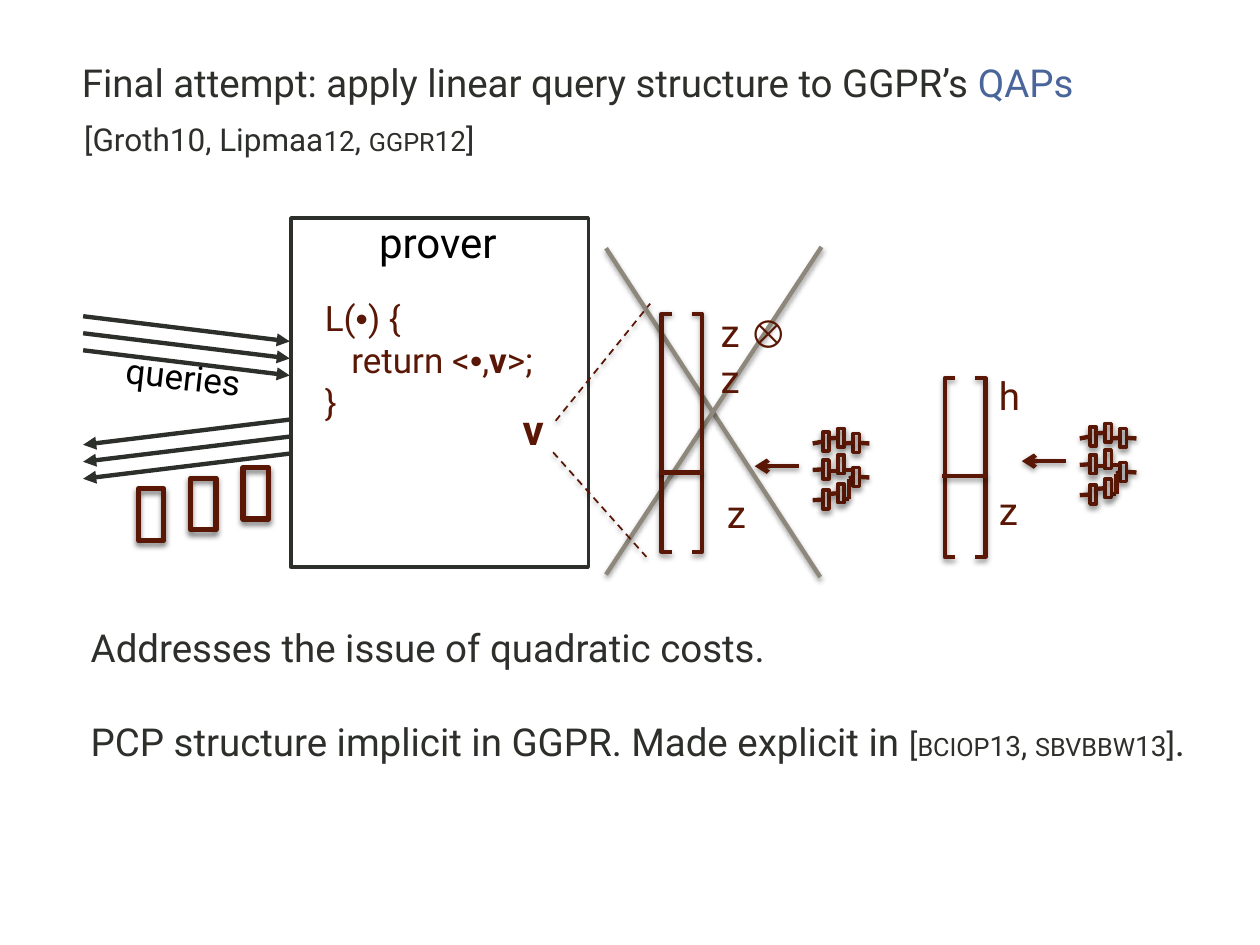
from lxml.etree import SubElement
from pptx import Presentation
from pptx.dml.color import RGBColor
from pptx.enum.dml import MSO_LINE_DASH_STYLE as Dash
from pptx.enum.shapes import MSO_CONNECTOR as Link, MSO_SHAPE as Shape
from pptx.enum.text import MSO_ANCHOR as Anchor, MSO_AUTO_SIZE as Fit, PP_ALIGN as Align
from pptx.oxml.ns import qn
from pptx.util import Inches, Pt

COLORS = {"ink": "2D2F2B", "maroon": "5A1705", "blue": "4A659A", "gray": "8E887C", "black": "000000"}
COLUMNS, ROWS = 100, 75
LEFT, RIGHT = 1, 3
SMALL = {"size": 18, "caps": True}


class Sketch:
    """Draws styled elements on one slide, measured in grid columns and rows."""

    def __init__(self, deck, font="Roboto"):
        self.font = font
        self.slide = deck.slides.add_slide(deck.slide_layouts[1])
        self.canvas = self.slide.shapes
        self.column = deck.slide_width / COLUMNS
        self.row = deck.slide_height / ROWS

    def place(self, *lengths):
        return [round(n * (self.row if i % 2 else self.column)) for i, n in enumerate(lengths)]

    def group(self):
        self.canvas = self.slide.shapes.add_group_shape().shapes

    def ungroup(self):
        self.canvas = self.slide.shapes

    def color(self, name):
        return RGBColor.from_string(COLORS[name])

    def shade(self, effects, opacity, blur, distance):
        shadow = SubElement(effects, qn("a:outerShdw"), blurRad=str(Pt(blur)),
                            dist=str(Pt(distance)), dir="5400000", rotWithShape="0")
        black = SubElement(shadow, qn("a:srgbClr"), val=COLORS["black"])
        SubElement(black, qn("a:alpha"), val=str(opacity * 1000))

    def outline(self, line, color, weight):
        line.color.rgb = self.color(color)
        line.width = Pt(weight)

    def shape(self, kind, box, color="maroon", weight=2.0, shadow=(50, 3, 2)):
        figure = self.canvas.add_shape(kind, *self.place(*box))
        figure.fill.background()
        self.outline(figure.line, color, weight)
        figure.shadow.inherit = False
        if shadow:
            self.shade(figure._element.spPr.find(qn("a:effectLst")), *shadow)
        return figure

    def line(self, start, end, color="maroon", weight=2.5, dash=None, head=None,
             shadow=(38, 3.1, 1.6), origin=None, target=None):
        link = self.canvas.add_connector(Link.STRAIGHT, *self.place(*start, *end))
        if origin:
            link.begin_connect(*origin)
        if target:
            link.end_connect(*target)
        self.outline(link.line, color, weight)
        if dash:
            link.line.dash_style = dash
        if head:
            SubElement(link._element.spPr.find(qn("a:ln")), qn("a:tailEnd"), type=head)
        effects = SubElement(link._element.spPr, qn("a:effectLst"))
        if shadow:
            self.shade(effects, *shadow)

    def set_text(self, holder, paragraphs, size=22, color="ink", align=Align.LEFT, bold=False,
                 gap=0, indents=()):
        frame = holder.text_frame
        frame.word_wrap, frame.auto_size = True, Fit.NONE
        frame.vertical_anchor = Anchor.TOP
        for i, runs in enumerate(paragraphs):
            paragraph = frame.add_paragraph() if i else frame.paragraphs[0]
            paragraph.alignment, paragraph.space_before = align, Pt(gap if i else 0)
            margins = paragraph._p.get_or_add_pPr()
            margins.set("marL", str(Inches(indents[i] if indents else 0)))
            margins.set("indent", "0")
            SubElement(margins, qn("a:buNone"))
            self.style(paragraph.font, size, color, bold)
            for words, change in runs:
                run = paragraph.add_run()
                run.text = words
                self.style(run.font, **{"size": size, "color": color, "bold": bold, **change})

    def style(self, font, size, color, bold, name=None, caps=False):
        font.name, font.size, font.bold = name or self.font, Pt(size), bold
        font.color.rgb = self.color(color)
        if caps:
            font._element.set("cap", "small")

    def text(self, box, *paragraphs, rotation=0, **look):
        label = self.canvas.add_textbox(*self.place(*box))
        label.rotation = rotation
        self.set_text(label, paragraphs, **look)

    def fill_placeholder(self, index, box, *paragraphs, **look):
        holder = self.slide.placeholders[index]
        holder.left, holder.top, holder.width, holder.height = self.place(*box)
        self.set_text(holder, paragraphs, **look)

    def vector(self, x, y, height, divider):
        self.group()
        for kind, offset in ((Shape.LEFT_BRACKET, 0), (Shape.RIGHT_BRACKET, 2.4)):
            bracket = self.shape(kind, (x + offset, y, 0.8, height), weight=2.5, shadow=(38, 3.1, 1.6))
            bracket.adjustments[0] = 0
        self.ungroup()
        self.line((x + 3.3, divider), (x - 0.2, divider))

    def circuit(self, x, y):
        places = {"in1": (0.8, 0.3), "in2": (0.8, 2.5), "in3": (0.8, 4.9), "top": (2, 0),
                  "middle": (2, 2.1), "bottom": (2, 4.4), "out1": (3.2, 0.4), "out2": (3.2, 3.1)}
        wires = [((0, 1.2), (0.8, 1.2), None, ("in1", LEFT)),
                 ((0, 3.3), (0.8, 3.3), None, ("in2", LEFT)),
                 ((0, 5.7), (0.8, 5.7), None, ("in3", LEFT)),
                 ((1.3, 3.4), (2, 3.4), None, None),
                 ((2.5, 1.2), (3.2, 1.2), None, ("out1", LEFT)),
                 ((1.3, 0.8), (2, 0.8), None, ("top", LEFT)),
                 ((1.3, 5.2), (2, 5.2), None, ("bottom", LEFT)),
                 ((2.5, 5.6), (2.9, 5.6), None, None),
                 ((2.9, 4), (3.2, 4), None, ("out2", LEFT)),
                 ((2.9, 4), (2.9, 5.6), None, None),
                 ((2.6, 3.3), (3.2, 3.3), None, None),
                 ((3.7, 1.2), (4.5, 1.2), ("out1", RIGHT), None),
                 ((3.7, 3.9), (4.5, 3.9), ("out2", RIGHT), None)]
        self.group()
        gates = {name: self.shape(Shape.RECTANGLE, (x + dx, y + dy, 0.5, 1.5))
                 for name, (dx, dy) in places.items()}
        for (x1, y1), (x2, y2), *ends in wires:
            origin, target = [end and (gates[end[0]], end[1]) for end in ends]
            self.line((x + x1, y + y1), (x + x2, y + y2), origin=origin, target=target)
        self.ungroup()
        self.line((x - 1.1, y + 3), (x - 4.6, y + 3), head="arrow")


def main():
    deck = Presentation()
    deck.slide_width, deck.slide_height = Inches(10), Inches(7.5)
    page = Sketch(deck)

    page.fill_placeholder(0, (5.5, 4.2, 93.4, 6.9), [
        ("Final attempt: apply linear query structure to GGPR’s ", {}), ("QAPs", {"color": "blue"})])
    page.fill_placeholder(
        1, (6.2, 49, 91.2, 14.7),
        [("Addresses the issue of quadratic costs.", {})],
        [("PCP structure implicit in GGPR. Made explicit in ", {}), ("[", {"size": 18}),
         ("bciop", SMALL), ("13", {"size": 16}), (", ", {"size": 18}), ("sbvbbw", SMALL),
         ("13", {"size": 16}), ("]", {"size": 18}), (".", {})], gap=27.5)
    page.text((5.7, 9, 40, 6), [("[Groth10, Lipmaa", {}), ("12", {"size": 16}), (", ", {}),
                                ("ggpr", SMALL), ("12", {"size": 16}), ("]", {})], size=18)

    page.vector(75, 30, 14.2, divider=37.8)
    page.group()
    page.line((48.1, 19.7), (65.1, 45.8), "gray")
    page.line((65.2, 19.6), (48.1, 45.6), "gray")
    page.ungroup()
    page.circuit(85.7, 33.6)

    page.text((23, 16.7, 23.5, 5), [("prover", {})], size=24, color="black", align=Align.CENTER)
    page.shape(Shape.RECTANGLE, (23.1, 17.3, 23.6, 27.7), "ink", shadow=None)
    dot = ("•", {"name": "Arial"})
    page.text((24.8, 23, 22, 11.1), [("L(", {}), dot, (") {", {})],
              [("return <", {}), dot, (",", {}), ("v", {"bold": True}), (">;", {})],
              [("}", {})], size=20, color="maroon", indents=(0, 0.21, 0))

    page.vector(52.5, 24.9, 18.9, divider=37.5)
    page.circuit(64.5, 34)
    page.text((56.2, 24, 9.2, 4.7), [("z ", {}), ("⊗ ", {"name": "Arial Narrow"}), ("z", {})], color="maroon")
    for x, y, name in ((56.7, 38.4, "z"), (78.3, 38.2, "z"), (78.3, 29, "h")):
        page.text((x, y, 5.5, 4.7), [(name, {})], color="maroon")
    page.text((40.5, 31.5, 5.5, 5), [("v", {})], size=24, color="maroon", bold=True)
    page.line((44.1, 33.4), (51.6, 24.1), weight=1, dash=Dash.DASH)
    page.line((43.9, 35.9), (51.3, 44.2), weight=1, dash=Dash.DASH)

    for i in range(3):
        drop = 1.35 * i
        for start, end in (((6.6, 25.1), (23, 27.1)), ((23, 33.3), (6.6, 35.3))):
            page.line((start[0], start[1] + drop), (end[0], end[1] + drop), "ink", head="triangle", shadow=None)
        page.shape(Shape.RECTANGLE, (11 + 4.15 * i, 38.8 - 0.85 * i, 2, 4.1), weight=3)
    page.text((8.7, 27.7, 11.7, 4.4), [("queries", {})], rotation=6.3, size=20, color="black", align=Align.CENTER)

    deck.save("out.pptx")


if __name__ == "__main__":
    main()
